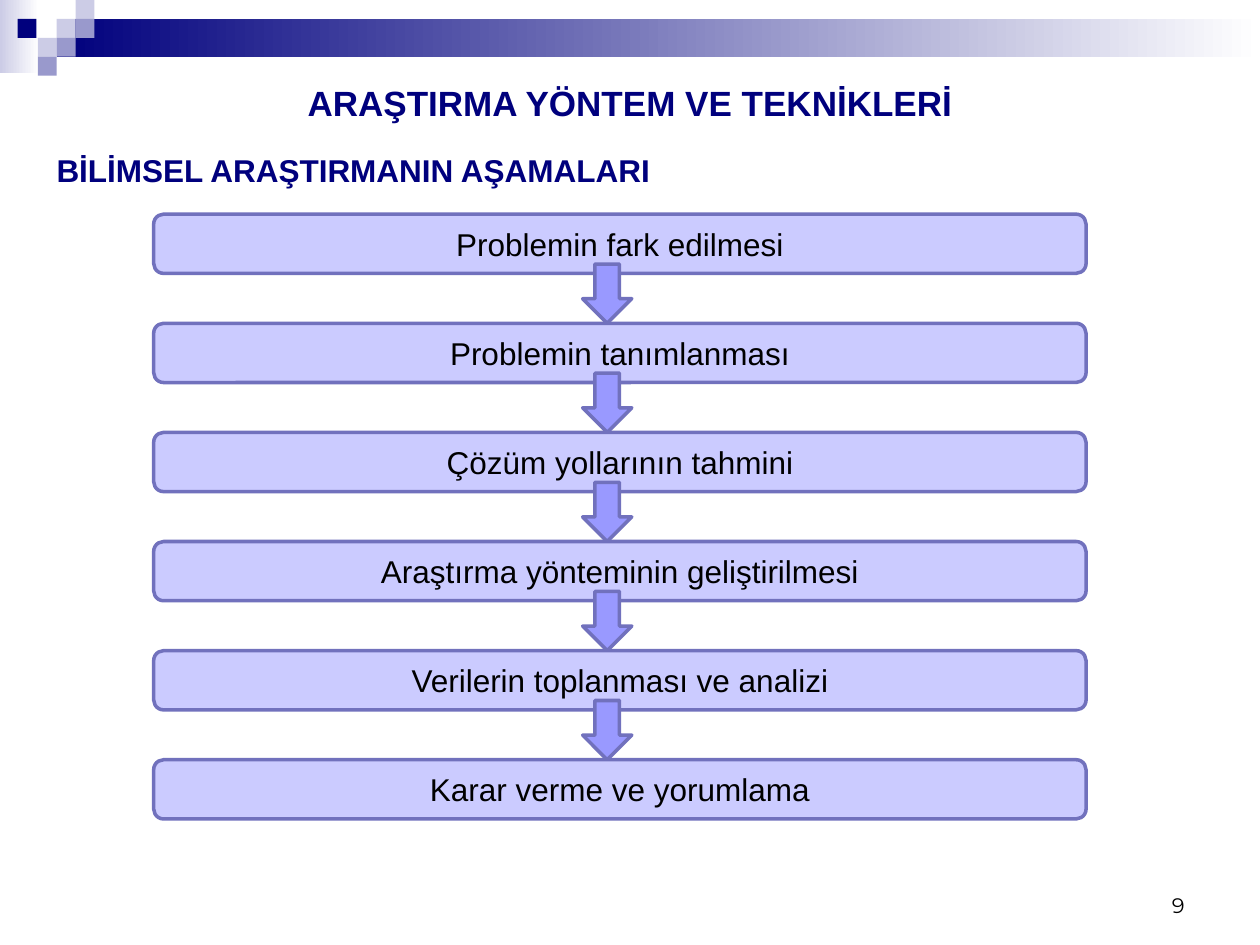
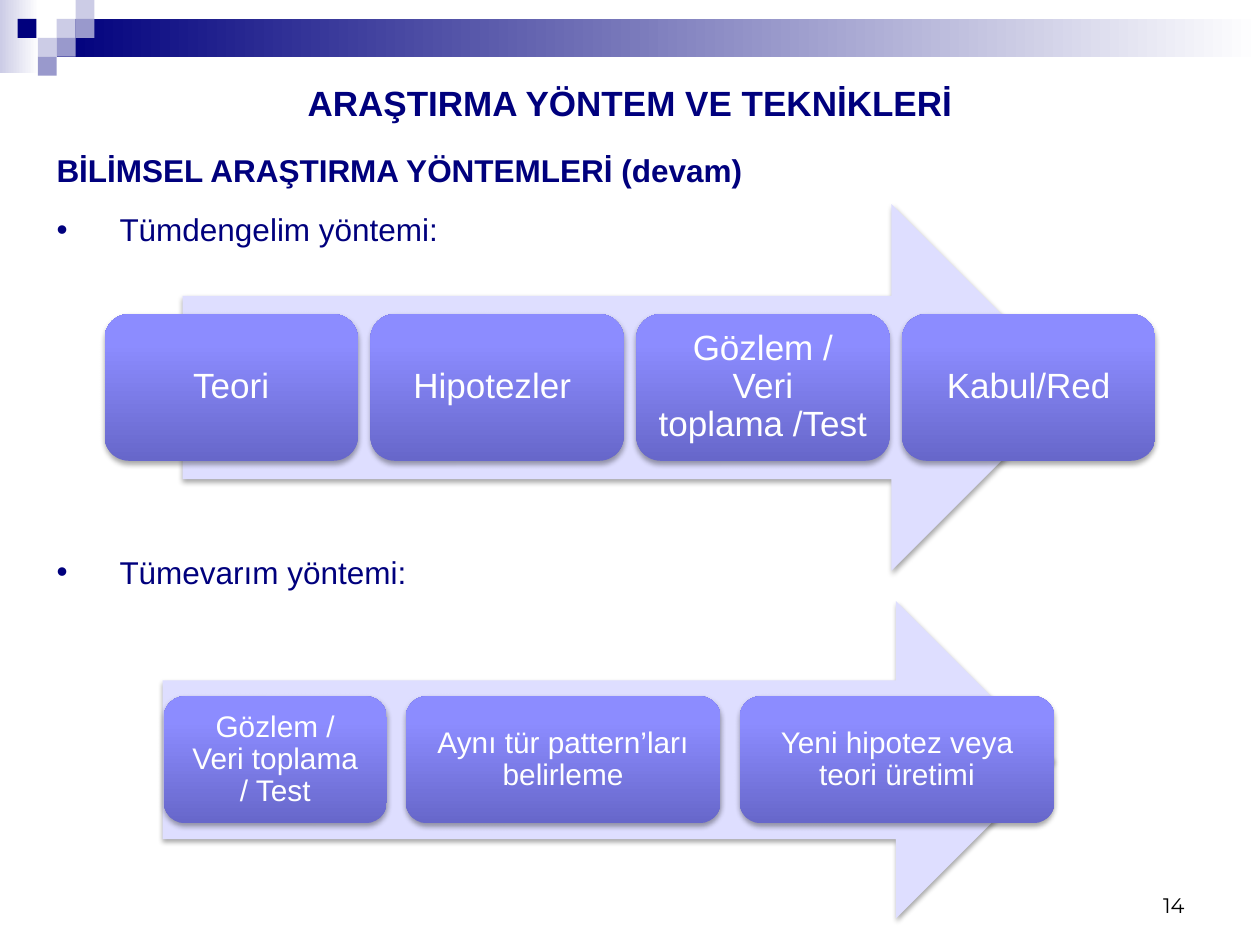
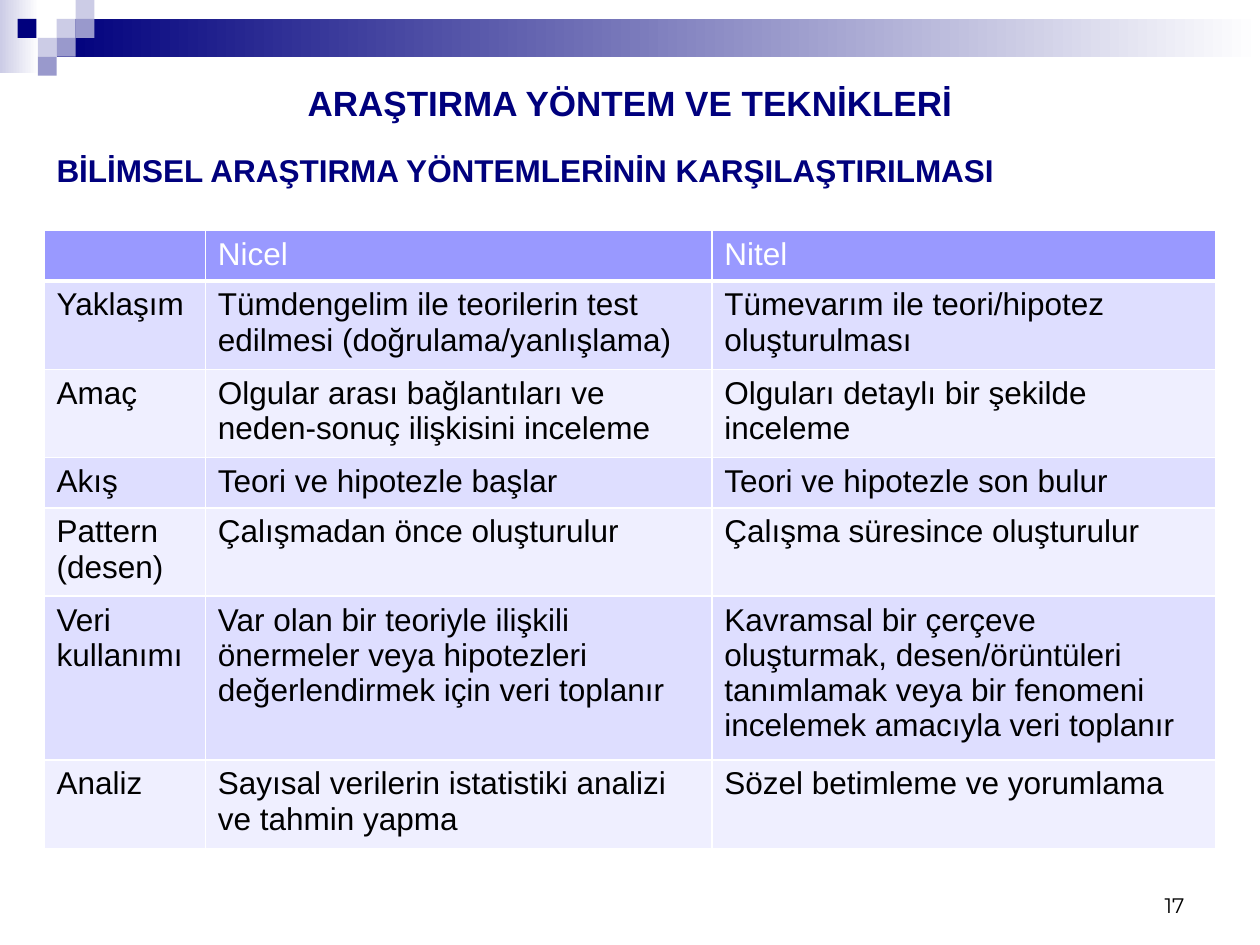
from dataclasses import dataclass

from lxml import etree
from pptx import Presentation
from pptx import util as u
from pptx.dml.color import RGBColor
from pptx.enum import shapes, text
from pptx.oxml import ns

NAVY = RGBColor(0x00, 0x00, 0x7D)
LAVENDER = RGBColor(0xCC, 0xCC, 0xE6)
LILAC = RGBColor(0x99, 0x99, 0xCC)
VIOLET = RGBColor(0x99, 0x99, 0xFF)
OUTLINE = RGBColor(0x71, 0x71, 0xBD)
PALE = RGBColor(0xDE, 0xDE, 0xFF)
PALEST = RGBColor(0xEF, 0xEF, 0xFF)
WHITE = RGBColor(0xFF, 0xFF, 0xFF)
BLACK = RGBColor(0x00, 0x00, 0x00)
GLOSS = [(0, RGBColor(0x67, 0x67, 0xCA)), (80, RGBColor(0x8C, 0x8C, 0xFF)),
         (100, RGBColor(0x8E, 0x8E, 0xFF))]

TITLE = "ARAŞTIRMA YÖNTEM VE TEKNİKLERİ"
FONT = "Arial"
NUMBER_FONT = "Montserrat"
UNIT = 0.15
SQUARES = [(3, 1, LAVENDER), (4, 0, LAVENDER), (4, 1, LILAC), (2, 2, LAVENDER),
           (0.93, 1, NAVY), (3, 2, LILAC), (2, 3, LILAC)]

STAGES = ["Problemin fark edilmesi", "Problemin tanımlanması",
          "Çözüm yollarının tahmini", "Araştırma yönteminin geliştirilmesi",
          "Verilerin toplanması ve analizi", "Karar verme ve yorumlama"]
DEDUCTION = [("Teori", 2.01), ("Hipotezler ", 2.01),
             ("Gözlem /\vVeri\vtoplama /Test", 2.01), ("Kabul/Red", 2.01)]
INDUCTION = [("Gözlem /\vVeri toplama\v/ Test", 1.77),
             ("Aynı tür pattern’ları belirleme", 2.5),
             ("Yeni hipotez veya teori üretimi", 2.5)]
COMPARISON = [
    ("", "Nicel", "Nitel"),
    ("Yaklaşım", "Tümdengelim ile teorilerin test edilmesi (doğrulama/yanlışlama)",
     "Tümevarım ile teori/hipotez oluşturulması"),
    ("Amaç", "Olgular arası bağlantıları ve neden-sonuç ilişkisini inceleme",
     "Olguları detaylı bir şekilde inceleme"),
    ("Akış", "Teori ve hipotezle başlar", "Teori ve hipotezle son bulur"),
    ("Pattern (desen)", "Çalışmadan önce oluşturulur", "Çalışma süresince oluşturulur"),
    ("Veri kullanımı",
     "Var olan bir teoriyle ilişkili önermeler veya hipotezleri değerlendirmek için veri toplanır",
     "Kavramsal bir çerçeve oluşturmak, desen/örüntüleri tanımlamak veya bir fenomeni "
     "incelemek amacıyla veri toplanır"),
    ("Analiz", "Sayısal verilerin istatistiki analizi ve tahmin yapma",
     "Sözel betimleme ve yorumlama"),
]


@dataclass
class Box:
    """A rectangle in inches."""
    x: float
    y: float
    w: float
    h: float

    def emu(self):
        """Return left, top, width and height as lengths."""
        return [u.Inches(v) for v in (self.x, self.y, self.w, self.h)]

    def share(self, x, y, w, h):
        """Return the box that takes the given shares of this one."""
        return Box(self.x + x * self.w, self.y + y * self.h, w * self.w, h * self.h)


PAGE = Box(0, 0, 10, 7.5)
BODY_X, BODY_W = 0.35, 9.29


def child(parent, tag, **attrs):
    """Append a DrawingML element and return it."""
    return etree.SubElement(parent, ns.qn("a:" + tag), {k: str(v) for k, v in attrs.items()})


def write(p, words, size, color, align=text.PP_ALIGN.LEFT, bold=False, font=FONT):
    """Put formatted words in a paragraph."""
    p.text = words
    p.alignment = align
    for r in p.runs:
        r.font.size, r.font.name, r.font.bold = u.Pt(size), font, bold
        r.font.color.rgb = color


def add_text(slide, box, anchor=text.MSO_ANCHOR.TOP):
    """Add a wrapping text box and return its frame."""
    tf = slide.shapes.add_textbox(*box.emu()).text_frame
    tf.word_wrap = True
    tf.vertical_anchor = anchor
    return tf


def add_block(slide, kind, box, color):
    """Add a flat shape with a solid fill."""
    sp = slide.shapes.add_shape(kind, *box.emu())
    sp.shadow.inherit = False
    sp.line.fill.background()
    sp.fill.solid()
    sp.fill.fore_color.rgb = color
    return sp


def set_gradient(sp, stops, angle):
    """Fill a shape with a linear gradient."""
    sp.fill.gradient()
    sp.fill.gradient_angle = angle
    stop_list = sp.element.spPr.find(".//" + ns.qn("a:gsLst"))
    for old in list(stop_list):
        stop_list.remove(old)
    for pos, color in stops:
        child(child(stop_list, "gs", pos=pos * 1000), "srgbClr", val=color)


def add_shadow(sp):
    """Give a shape a soft shadow below it."""
    effects = sp.element.spPr.find(ns.qn("a:effectLst"))
    shadow = child(effects, "outerShdw", blurRad=u.Pt(3.1), dist=u.Pt(1.8),
                   dir=5400000, rotWithShape=0)
    child(child(shadow, "srgbClr", val=BLACK), "alpha", val=35000)


def set_outline(sp):
    """Draw the violet outline of a flow chart shape."""
    sp.line.color.rgb = OUTLINE
    sp.line.width = u.Pt(2)


def label(sp, words, size, color, inset=None):
    """Centre words inside a shape."""
    tf = sp.text_frame
    tf.word_wrap = True
    tf.vertical_anchor = text.MSO_ANCHOR.MIDDLE
    if inset is not None:
        tf.margin_left = tf.margin_right = tf.margin_top = tf.margin_bottom = u.Inches(inset)
    write(tf.paragraphs[0], words, size, color, text.PP_ALIGN.CENTER)


def add_band(prs, slide):
    """Draw the top band and move it to the master."""
    rect = shapes.MSO_SHAPE.RECTANGLE
    fade = add_block(slide, rect, Box(0, 0, 0.31, 0.58), LAVENDER)
    set_gradient(fade, [(0, LAVENDER), (100, WHITE)], 0)
    bar = add_block(slide, rect, Box(3 * UNIT, UNIT, PAGE.w - 3 * UNIT, 2 * UNIT), NAVY)
    set_gradient(bar, [(0, NAVY), (100, WHITE)], 0)
    squares = [add_block(slide, rect, Box(c * UNIT, r * UNIT, UNIT, UNIT), color)
               for c, r, color in SQUARES]
    tree = prs.slide_master.shapes.element
    for i, sp in enumerate([fade, bar] + squares):
        sp.element.nvSpPr.cNvPr.set("id", str(100 + i))
        tree.insert(2 + i, sp.element)


def add_page(prs, heading, number):
    """Add a slide with its title, heading and page number."""
    slide = prs.slides.add_slide(prs.slide_layouts[5])
    title = slide.shapes.title
    title.left, title.top, title.width, title.height = PAGE.share(0, 0.08, 1, 0.06).emu()
    title.text_frame.vertical_anchor = text.MSO_ANCHOR.TOP
    write(title.text_frame.paragraphs[0], TITLE, 20, NAVY, text.PP_ALIGN.CENTER, True)
    tf = add_text(slide, Box(BODY_X, 1.15, BODY_W, 0.4))
    write(tf.paragraphs[0], heading, 18, NAVY, bold=True)
    tf = add_text(slide, Box(7.17, 6.83, 2.33, 0.5), text.MSO_ANCHOR.BOTTOM)
    write(tf.paragraphs[0], number, 12, BLACK, text.PP_ALIGN.RIGHT, font=NUMBER_FONT)
    return slide


def add_stages(slide, box, stages):
    """Stack the stages in a box and join them with down arrows."""
    height = 0.47
    pitch = (box.h - height) / (len(stages) - 1)
    tops = [box.y + i * pitch for i in range(len(stages))]
    for top, words in zip(tops, stages):
        sp = add_block(slide, shapes.MSO_SHAPE.ROUNDED_RECTANGLE,
                       Box(box.x, top, box.w, height), VIOLET)
        child(sp.element.spPr.find(".//" + ns.qn("a:srgbClr")), "alpha", val=50000)
        set_outline(sp)
        label(sp, words, 18, BLACK)
    for top in tops[1:]:
        arrow = Box(box.x + 0.46 * box.w, top - height, 0.39, height)
        set_outline(add_block(slide, shapes.MSO_SHAPE.DOWN_ARROW, arrow, VIOLET))


def add_flow(slide, box, steps, left, gap, size, inset):
    """Lay glossy steps in a row over a wide arrow that fills the box."""
    add_shadow(add_block(slide, shapes.MSO_SHAPE.RIGHT_ARROW, box, PALE))
    row = box.share(0, 0.3, 1, 0.4)
    for words, width in steps:
        sp = add_block(slide, shapes.MSO_SHAPE.ROUNDED_RECTANGLE,
                       Box(left, row.y, width, row.h), VIOLET)
        set_gradient(sp, GLOSS, 90)
        add_shadow(sp)
        label(sp, words, size, WHITE, inset)
        sp.text_frame.paragraphs[0].line_spacing = 0.9
        left += width + gap


def add_bullets(slide, box, items, gap):
    """List bulleted items with a gap in points between them."""
    tf = add_text(slide, box)
    for i, words in enumerate(items):
        p = tf.add_paragraph() if i else tf.paragraphs[0]
        pPr = p._p.get_or_add_pPr()
        pPr.set("marL", str(u.Inches(0.5)))
        pPr.set("indent", str(-u.Inches(0.5)))
        child(pPr, "buFont", typeface=FONT)
        child(pPr, "buChar", char="•")
        if i:
            p.space_before = u.Pt(gap)
        write(p, words, 18, NAVY)


def set_borders(cell, bottom):
    """Draw white borders round a cell."""
    tcPr = cell._tc.get_or_add_tcPr()
    for i, (side, width) in enumerate([("L", 1), ("R", 1), ("T", 1), ("B", bottom)]):
        ln = child(tcPr, "ln" + side, w=u.Pt(width))
        child(child(ln, "solidFill"), "srgbClr", val=WHITE)
        tcPr.insert(i, ln)


def add_comparison(slide, box, rows, widths, heights):
    """Fill a box with a banded table."""
    table = slide.shapes.add_table(len(rows), len(widths), *box.emu()).table
    for col, width in zip(table.columns, widths):
        col.width = u.Inches(width)
    for i, (words, height) in enumerate(zip(rows, heights)):
        table.rows[i].height = u.Inches(height)
        fill = VIOLET if i == 0 else (PALEST, PALE)[i % 2]
        for cell, value in zip(table.rows[i].cells, words):
            write(cell.text_frame.paragraphs[0], value, 18, BLACK if i else WHITE)
            cell.fill.solid()
            cell.fill.fore_color.rgb = fill
            set_borders(cell, 1 if i else 3)


def main():
    """Build the three slides."""
    prs = Presentation()
    prs.slide_width, prs.slide_height = u.Inches(PAGE.w), u.Inches(PAGE.h)

    slide = add_page(prs, "BİLİMSEL ARAŞTIRMANIN AŞAMALARI", "9")
    add_band(prs, slide)
    add_stages(slide, Box(1.22, 1.7, 7.4, 4.8), STAGES)

    slide = add_page(prs, "BİLİMSEL ARAŞTIRMA YÖNTEMLERİ (devam)", "14")
    add_flow(slide, Box(1.45, 1.62, 7.08, 2.91), DEDUCTION, 0.83, 0.1, 20, 0.08)
    add_flow(slide, Box(1.29, 4.77, 7.08, 2.52), INDUCTION, 1.3, 0.15, 17, 0.07)
    add_bullets(slide, Box(BODY_X, 1.62, BODY_W, 3.13),
                ["Tümdengelim yöntemi:", "Tümevarım yöntemi:"], 174)

    slide = add_page(prs, "BİLİMSEL ARAŞTIRMA YÖNTEMLERİNİN KARŞILAŞTIRILMASI", "17")
    add_comparison(slide, Box(BODY_X, 1.83, 9.3, 4.91), COMPARISON,
                   [1.28, 4.02, 4], [0.4, 0.7, 0.7, 0.4, 0.7, 1.3, 0.7])
    prs.save("out.pptx")


if __name__ == "__main__":
    main()
